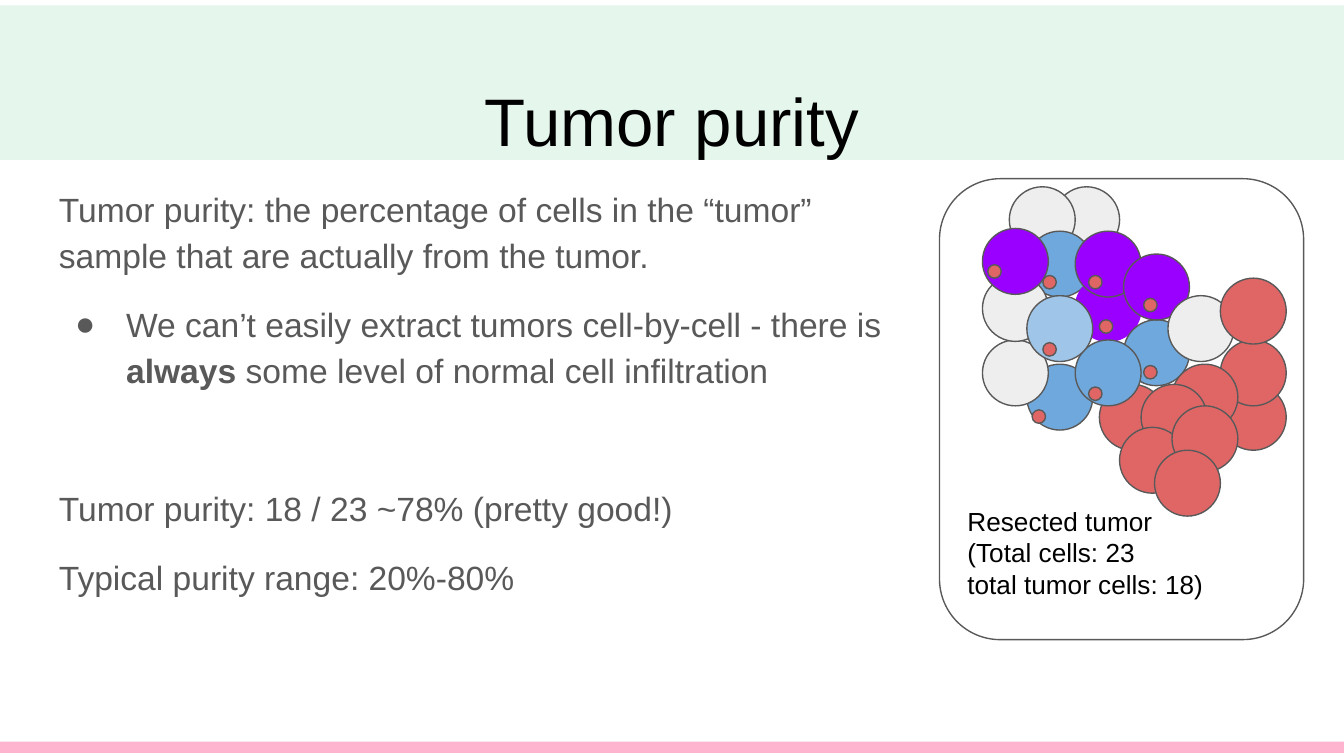
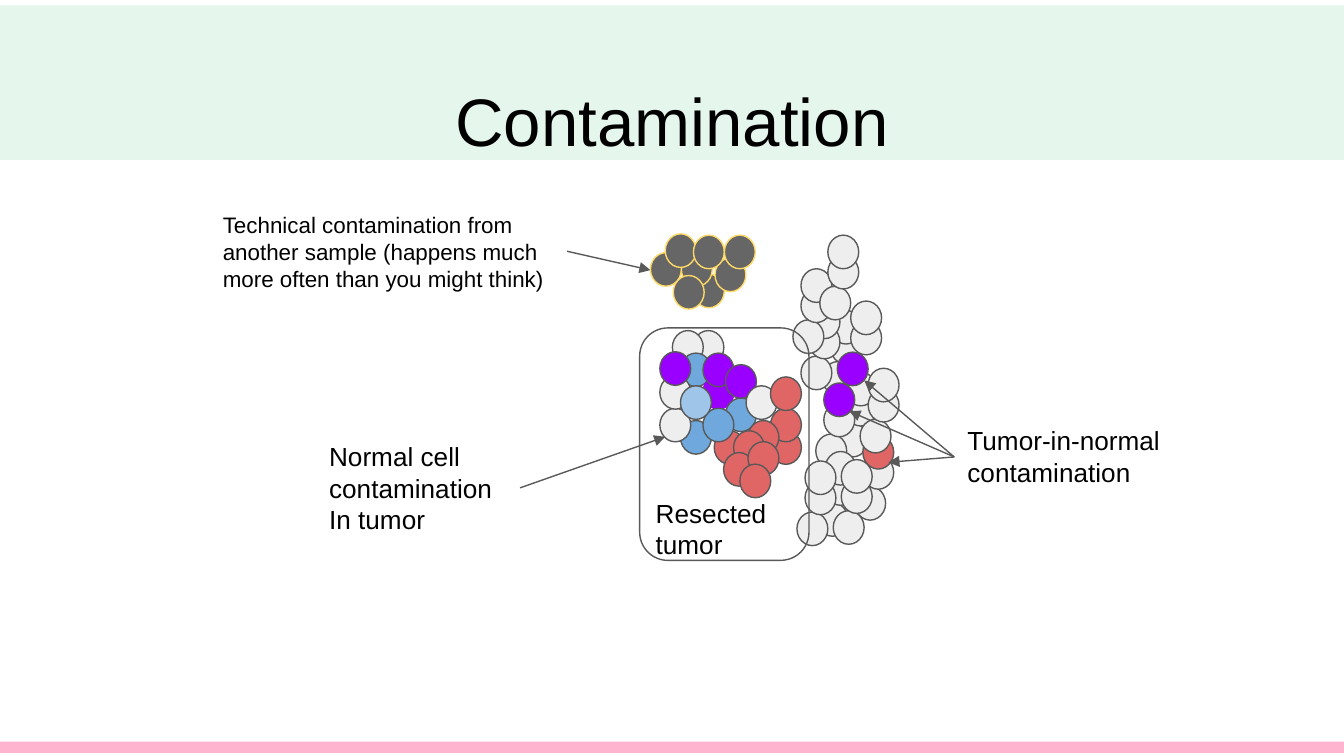
from lxml.etree import SubElement
from pptx import Presentation
from pptx.dml.color import RGBColor
from pptx.enum.shapes import MSO_CONNECTOR as Connector, MSO_SHAPE as Shape
from pptx.enum.text import MSO_ANCHOR as Anchor, MSO_AUTO_SIZE as AutoSize, PP_ALIGN as Align
from pptx.oxml.ns import qn
from pptx.util import Emu, Pt

PX = 9144
PAGE_WIDTH = 1000
FONT = "Arial"
BLACK, GRAY = "000000", "595959"
RED, NORMAL, BLUE, PALE, PURPLE = "E06666", "EEEEEE", "6FA8DC", "9FC5E8", "9900FF"
FOREIGN, GOLD = "666666", "FFD966"
BAND, FOOTER = "00B050", "FD337B"

PURITY_TEXT = [
    {"spans": ["Tumor purity: the percentage of cells in the “tumor” sample that are actually from the tumor."]},
    {"spans": ["We can’t easily extract tumors cell-by-cell - there is ", "always",
               " some level of normal cell infiltration"], "bold": "always", "bullet": True, "before": 12},
    {"spans": ["Tumor purity: 18 / 23 ~78% (pretty good!)"], "before": 49},
    {"spans": ["Typical purity range: 20%-80%"], "before": 12},
]
TUMOR_FRAME = (699, 133, 271, 343)
TUMOR_CELLS = [
    (908, 286, RED), (908, 253, RED), (784, 139, NORMAL), (751, 139, NORMAL),
    (764, 172, BLUE), (800, 205, PURPLE), (836, 238, BLUE), (872, 271, RED),
    (818, 286, RED), (764, 271, BLUE), (731, 253, NORMAL), (800, 253, BLUE),
    (731, 205, NORMAL), (800, 172, PURPLE), (764, 220, PALE), (731, 170, PURPLE),
    (836, 189, PURPLE), (869, 220, NORMAL), (849, 286, RED), (833, 318, RED),
    (872, 302, RED), (859, 335, RED), (908, 207, RED),
]
PURPLE_EDGED = (800, 205)
MUTATIONS = [(810, 288), (768, 305), (851, 272), (851, 222), (776, 255),
             (818, 238), (810, 205), (735, 197), (776, 205)]
TUMOR_LABEL = ["Resected tumor", "(Total cells: 23", "total tumor cells: 18)"]

SMALL_CELL = (23, 25)
STRAND_STEPS = [0, 23, 38]
PLAIN = [NORMAL] * 3
STRANDS = [
    (612, 269, 6, PLAIN), (596, 265, 6, PLAIN), (623, 315, 6, PLAIN),
    (607, 323, 6, [NORMAL, NORMAL, PURPLE]), (608, 374, 6, PLAIN),
    (636, 362, 6, [NORMAL, NORMAL, RED]), (640, 312, 6, PLAIN),
    (623, 262, 10, [PURPLE, NORMAL, NORMAL]), (620, 380, 6, PLAIN),
    (593, 381, 6, PLAIN), (590, 238, 6, PLAIN), (610, 213, 6, PLAIN),
]
FOREIGN_CELLS = [(516, 204), (507, 188), (501, 205), (484, 188),
                 (532, 192), (495, 174), (516, 175), (539, 175)]
ARROWS = [(387, 363, 495, 325), (710, 340, 661, 344), (710, 340, 632, 306),
          (710, 340, 643, 283), (422, 187, 484, 201)]
LABELS = [
    ((235, 318, 151, 91), ["Normal cell contamination", "In tumor"], 14),
    ((710, 306, 167, 67), ["Tumor-in-normal", "contamination"], 14),
    ((478, 360, 115, 67), ["Resected tumor"], 14),
    ((156, 147, 266, 81), ["Technical contamination from another sample "
                           "(happens much more often than you might think)"], 12),
]


def px(*lengths):
    return [Emu(round(length * PX)) for length in lengths]


def color(hex_text):
    return RGBColor.from_string(hex_text)


def set_alpha(fill_parent, percent):
    tint = next(fill_parent.iter(qn("a:srgbClr")))
    SubElement(tint, qn("a:alpha"), val=str(percent * 1000))


def style_font(para, size, hex_text):
    para.font.name, para.font.size = FONT, Pt(size)
    para.font.color.rgb = color(hex_text)


def add_figure(page, kind, place, fill=None, line=GRAY):
    figure = page.shapes.add_shape(kind, *px(*place))
    figure.shadow.inherit = False
    if fill:
        figure.fill.solid()
        figure.fill.fore_color.rgb = color(fill)
    else:
        figure.fill.background()
    if line:
        figure.line.color.rgb = color(line)
        figure.line.width = Pt(0.75)
    else:
        figure.line.fill.background()
    return figure


def add_cell(page, x, y, size, fill, line=GRAY):
    add_figure(page, Shape.OVAL, (x, y, *size), fill, line)


def add_tumor(page, left, top, scale_x, scale_y, size):
    for x, y, fill in TUMOR_CELLS:
        line = PURPLE if (x, y) == PURPLE_EDGED else GRAY
        add_cell(page, left + (x - 731) * scale_x, top + (y - 139) * scale_y, size, fill, line)


def add_line(page, ends, hex_text, width):
    link = page.shapes.add_connector(Connector.STRAIGHT, *px(*ends))
    link.line.color.rgb = color(hex_text)
    link.line.width = Pt(width)
    SubElement(link._element.spPr, qn("a:effectLst"))
    return link


def add_arrow(page, ends):
    arrow = add_line(page, ends, GRAY, 0.75)
    SubElement(arrow._element.spPr.find(qn("a:ln")), qn("a:tailEnd"), type="triangle")


def add_bullet(para):
    props = para._p.get_or_add_pPr()
    props.set("marL", str(50 * PX))
    props.set("indent", str(-38 * PX))
    SubElement(SubElement(props, qn("a:buClr")), qn("a:srgbClr"), val=GRAY)
    SubElement(props, qn("a:buFont"), typeface=FONT)
    SubElement(props, qn("a:buChar"), char="●")


def set_margins(frame):
    frame.margin_left, frame.margin_top, frame.margin_right, frame.margin_bottom = px(*[10] * 4)


def text_frame(page, place):
    frame = page.shapes.add_textbox(*px(*place)).text_frame
    frame.word_wrap = True
    set_margins(frame)
    return frame


def next_para(frame, index):
    return frame.add_paragraph() if index else frame.paragraphs[0]


def add_label(page, place, lines, size):
    frame = text_frame(page, place)
    for index, line in enumerate(lines):
        para = next_para(frame, index)
        para.text = line
        style_font(para, size, BLACK)


def add_purity_text(page):
    frame = text_frame(page, (34, 126, 666, 374))
    for index, entry in enumerate(PURITY_TEXT):
        para = next_para(frame, index)
        if entry.get("bullet"):
            add_bullet(para)
        para.line_spacing = 1.15
        if index:
            para.space_before = Pt(entry["before"])
        style_font(para, 18, GRAY)
        for words in entry["spans"]:
            span = para.add_run()
            span.text = words
            if words == entry.get("bold"):
                span.font.bold = True


def add_page(deck, heading):
    page = deck.slides.add_slide(deck.slide_layouts[5])
    footer = add_line(page, (0, 556, PAGE_WIDTH, 556), FOOTER, 6)
    set_alpha(footer._element.spPr, 36)
    band = add_figure(page, Shape.RECTANGLE, (0, 4, PAGE_WIDTH, 115), BAND, None)
    set_alpha(band._element.spPr, 10)
    title = page.shapes.title
    page.shapes._spTree.append(title._element)
    title.left, title.top, title.width, title.height = px(34, 49, 932, 63)
    frame = title.text_frame
    frame.text = heading
    frame.auto_size = AutoSize.NONE
    frame.vertical_anchor = Anchor.TOP
    set_margins(frame)
    para = frame.paragraphs[0]
    para.alignment = Align.CENTER
    style_font(para, 36, BLACK)
    return page


def draw_purity(deck):
    page = add_page(deck, "Tumor purity")
    add_purity_text(page)
    add_figure(page, Shape.ROUNDED_RECTANGLE, TUMOR_FRAME)
    add_tumor(page, 731, 139, 1, 1, (49, 49))
    add_label(page, (710, 366, 247, 91), TUMOR_LABEL, 14)
    for x, y in MUTATIONS:
        add_cell(page, x, y, (10, 10), RED)


def draw_contamination(deck):
    page = add_page(deck, "Contamination")
    add_tumor(page, 491, 246, 0.465, 0.507, SMALL_CELL)
    for x, y, shift, fills in STRANDS:
        for step, fill in zip(STRAND_STEPS, fills):
            add_cell(page, x + (shift if step else 0), y - step, SMALL_CELL, fill)
    for ends in ARROWS:
        add_arrow(page, ends)
    add_figure(page, Shape.ROUNDED_RECTANGLE, (476, 244, 126, 173))
    for x, y in FOREIGN_CELLS:
        add_cell(page, x, y, SMALL_CELL, FOREIGN, GOLD)
    for place, lines, size in LABELS:
        add_label(page, place, lines, size)


def main():
    deck = Presentation()
    deck.slide_width, deck.slide_height = px(PAGE_WIDTH, 562.5)
    draw_purity(deck)
    draw_contamination(deck)
    deck.save("out.pptx")


if __name__ == "__main__":
    main()
